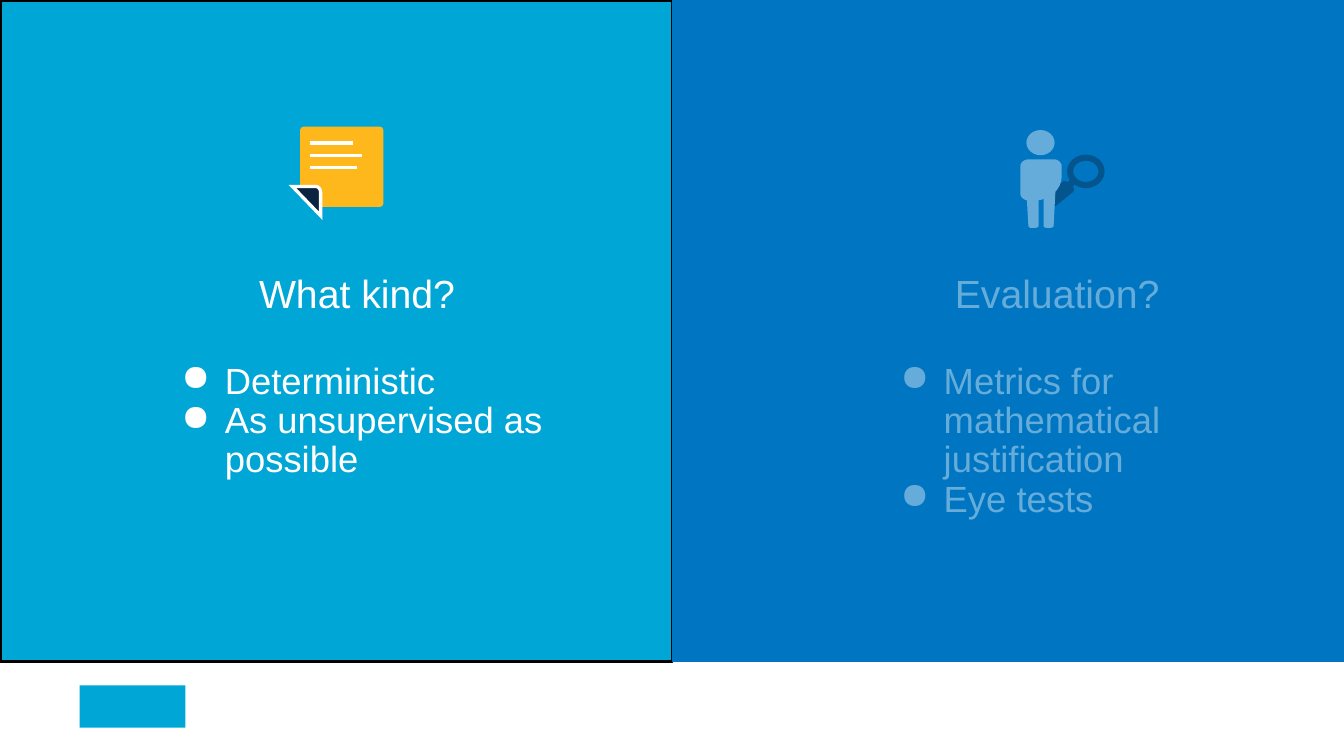
"""Build a two-panel slide on the kind of method and its evaluation."""
from dataclasses import dataclass

from lxml import etree
from pptx import Presentation
from pptx.dml.color import RGBColor
from pptx.enum.shapes import MSO_CONNECTOR, MSO_SHAPE
from pptx.enum.text import MSO_ANCHOR, PP_ALIGN
from pptx.oxml.ns import qn
from pptx.util import Inches, Pt

RECT, OVAL, DONUT = MSO_SHAPE.RECTANGLE, MSO_SHAPE.OVAL, MSO_SHAPE.DONUT
STRAIGHT = MSO_CONNECTOR.STRAIGHT
LEFT, CENTER = PP_ALIGN.LEFT, PP_ALIGN.CENTER
TOP = MSO_ANCHOR.TOP
WHITE, BLACK, NAVY = "FFFFFF", "000000", "0C2340"
CYAN, BLUE, YELLOW = "00A6D6", "0076C2", "FFB81C"
CURVE_STEPS = 8


@dataclass
class Preset:
    kind: int
    x: float
    y: float
    w: float
    h: float
    fill: str
    line: str = ""
    weight: float = 0.75


@dataclass
class Outline:
    """A start point followed by (x, y) lines and six-number curves."""
    start: tuple
    segments: list
    fill: str
    line: str = ""
    weight: float = 0.75


@dataclass
class Text:
    x: float
    y: float
    w: float
    h: float
    lines: list
    size: int
    margin: float = 0
    indent: float = 0
    align: int = LEFT
    bullet: str = ""


PANELS = [
    Preset(RECT, 0.79, 6.8, 1.05, 0.42, CYAN),
    Preset(RECT, 0, 0, 6.67, 6.56, CYAN, BLACK, 2.25),
    Preset(RECT, 6.67, 0, 6.67, 6.56, BLUE, BLUE),
]
MAGNIFIER = [
    Outline((10.57, 1.84), [(10.6, 1.86), (10.62, 1.86), (10.68, 1.81), (10.64, 1.77),
                            (10.58, 1.82)], NAVY, NAVY),
    Outline((10.38, 1.98), [(10.44, 2.03), (10.45, 2.04, 10.47, 2.04, 10.48, 2.03),
                            (10.64, 1.9), (10.65, 1.89, 10.65, 1.87, 10.64, 1.86),
                            (10.58, 1.81), (10.57, 1.8, 10.55, 1.8, 10.54, 1.81),
                            (10.38, 1.94), (10.37, 1.95, 10.37, 1.97, 10.38, 1.98)],
            NAVY, NAVY),
]
PERSON = [
    Outline((10.27, 1.82), [(10.29, 1.82, 10.3, 1.83, 10.3, 1.85), (10.3, 2.24),
                            (10.3, 2.25, 10.29, 2.26, 10.27, 2.26), (10.22, 2.26),
                            (10.21, 2.26, 10.2, 2.25, 10.2, 2.24), (10.18, 1.9),
                            (10.18, 1.86, 10.22, 1.82, 10.27, 1.82)], WHITE),
    Outline((10.44, 1.82), [(10.46, 1.82, 10.47, 1.83, 10.47, 1.85), (10.45, 2.24),
                            (10.45, 2.25, 10.44, 2.26, 10.42, 2.26), (10.38, 2.26),
                            (10.36, 2.26, 10.35, 2.25, 10.35, 2.24), (10.35, 1.9),
                            (10.35, 1.86, 10.39, 1.82, 10.44, 1.82)], WHITE),
    Outline((10.21, 1.58), [(10.45, 1.58), (10.49, 1.58, 10.53, 1.61, 10.53, 1.65),
                            (10.53, 1.75), (10.53, 1.88, 10.41, 1.99, 10.26, 1.99),
                            (10.21, 1.99), (10.16, 1.99, 10.12, 1.96, 10.12, 1.92),
                            (10.12, 1.65), (10.12, 1.61, 10.16, 1.58, 10.21, 1.58)], WHITE),
]
NOTE = Outline((3.01, 1.29), [(3.77, 1.29), (3.77, 2.02), (3.19, 2.02),
                              (3.09, 2.02, 3.01, 1.94, 3.01, 1.85)], YELLOW, YELLOW, 4.7)
FOLD = Outline((3.18, 2.14), [(3.18, 1.91), (3.18, 1.88, 3.16, 1.85, 3.13, 1.85),
                              (2.9, 1.85)], NAVY, WHITE, 2.35)
NOTE_LINES = [(1.42, 3.5), (1.54, 3.59), (1.66, 3.54)]
TEXTS = [
    Text(8.86, 3.6, 4.08, 1.58, ["Metrics for mathematical justification", "Eye tests"],
         26, 0.5, -0.43, bullet="●"),
    Text(8.47, 2.72, 4.08, 0.42, ["Evaluation?"], 28, 0.5, 0.5),
    Text(1.73, 3.6, 4.48, 1.18, ["Deterministic", "As unsupervised as possible"],
         26, 0.5, -0.43, bullet="●"),
    Text(1.3, 2.72, 4.48, 0.42, ["What kind?"], 28, align=CENTER),
]


def rgb(value: str) -> RGBColor:
    return RGBColor.from_string(value)


def paint(sp, fill: str, line: str, weight: float) -> None:
    sp.shadow.inherit = False
    sp.fill.solid()
    sp.fill.fore_color.rgb = rgb(fill)
    if line:
        sp.line.color.rgb = rgb(line)
        sp.line.width = Pt(weight)
    else:
        sp.line.fill.background()


def add_preset(s, item: Preset):
    sp = s.shapes.add_shape(item.kind, Inches(item.x), Inches(item.y),
                            Inches(item.w), Inches(item.h))
    paint(sp, item.fill, item.line, item.weight)
    return sp


def curve_points(a: tuple, c: tuple) -> list:
    points = []
    for i in range(1, CURVE_STEPS + 1):
        t = i / CURVE_STEPS
        u = 1 - t
        points.append(tuple(u**3 * a[k] + 3 * u * u * t * c[k]
                            + 3 * u * t * t * c[k + 2] + t**3 * c[k + 4] for k in (0, 1)))
    return points


def add_outline(s, item: Outline):
    points = [item.start]
    for seg in item.segments:
        points += [seg] if len(seg) == 2 else curve_points(points[-1], seg)
    emu = [(Inches(x), Inches(y)) for x, y in points]
    builder = s.shapes.build_freeform(*emu[0], scale=1.0)
    builder.add_line_segments(emu[1:], close=True)
    sp = builder.convert_to_shape()
    paint(sp, item.fill, item.line, item.weight)
    return sp


def add_note_line(s, y: float, right: float) -> None:
    line = s.shapes.add_connector(STRAIGHT, Inches(3.07), Inches(y), Inches(right), Inches(y))
    line.line.color.rgb = rgb(WHITE)
    line.line.width = Pt(2.35)
    etree.SubElement(line._element.spPr, qn("a:effectLst"))


def add_text(s, item: Text) -> None:
    tf = s.shapes.add_textbox(Inches(item.x), Inches(item.y),
                              Inches(item.w), Inches(item.h)).text_frame
    tf.word_wrap = True
    tf.vertical_anchor = TOP
    tf.margin_left = tf.margin_right = tf.margin_top = tf.margin_bottom = 0
    for i, line in enumerate(item.lines):
        p = tf.add_paragraph() if i else tf.paragraphs[0]
        p.alignment = item.align
        p.line_spacing = 0.9
        pPr = p._p.get_or_add_pPr()
        pPr.set("marL", str(Inches(item.margin)))
        pPr.set("indent", str(Inches(item.indent)))
        if item.bullet:
            color = etree.SubElement(pPr, qn("a:buClr"))
            etree.SubElement(color, qn("a:srgbClr"), val=WHITE)
            etree.SubElement(pPr, qn("a:buChar"), char=item.bullet)
        r = p.add_run()
        r.text = line
        r.font.name = "Arial"
        r.font.size = Pt(item.size)
        r.font.color.rgb = rgb(WHITE)


def main() -> None:
    prs = Presentation()
    prs.slide_width, prs.slide_height = Inches(13.33), Inches(7.5)
    s = prs.slides.add_slide(prs.slide_layouts[6])
    for panel in PANELS:
        add_preset(s, panel)
    for part in MAGNIFIER:
        add_outline(s, part)
    lens = add_preset(s, Preset(DONUT, 10.59, 1.54, 0.36, 0.32, NAVY, NAVY, 0.94))
    lens.adjustments[0] = 0.15
    for part in PERSON:
        add_outline(s, part)
    add_preset(s, Preset(OVAL, 10.18, 1.29, 0.28, 0.25, WHITE))
    add_outline(s, NOTE)
    fold = add_outline(s, FOLD)
    etree.SubElement(fold.line._get_or_add_ln(), qn("a:miter"), lim="800000")
    for y, right in NOTE_LINES:
        add_note_line(s, y, right)
    for text in TEXTS:
        add_text(s, text)
    veil = add_preset(s, Preset(RECT, 8.62, 0.98, 3.35, 4.59, BLUE))
    color = veil._element.spPr.find(qn("a:solidFill")).find(qn("a:srgbClr"))
    etree.SubElement(color, qn("a:alpha"), val="60000")
    prs.save("out.pptx")


if __name__ == "__main__":
    main()
